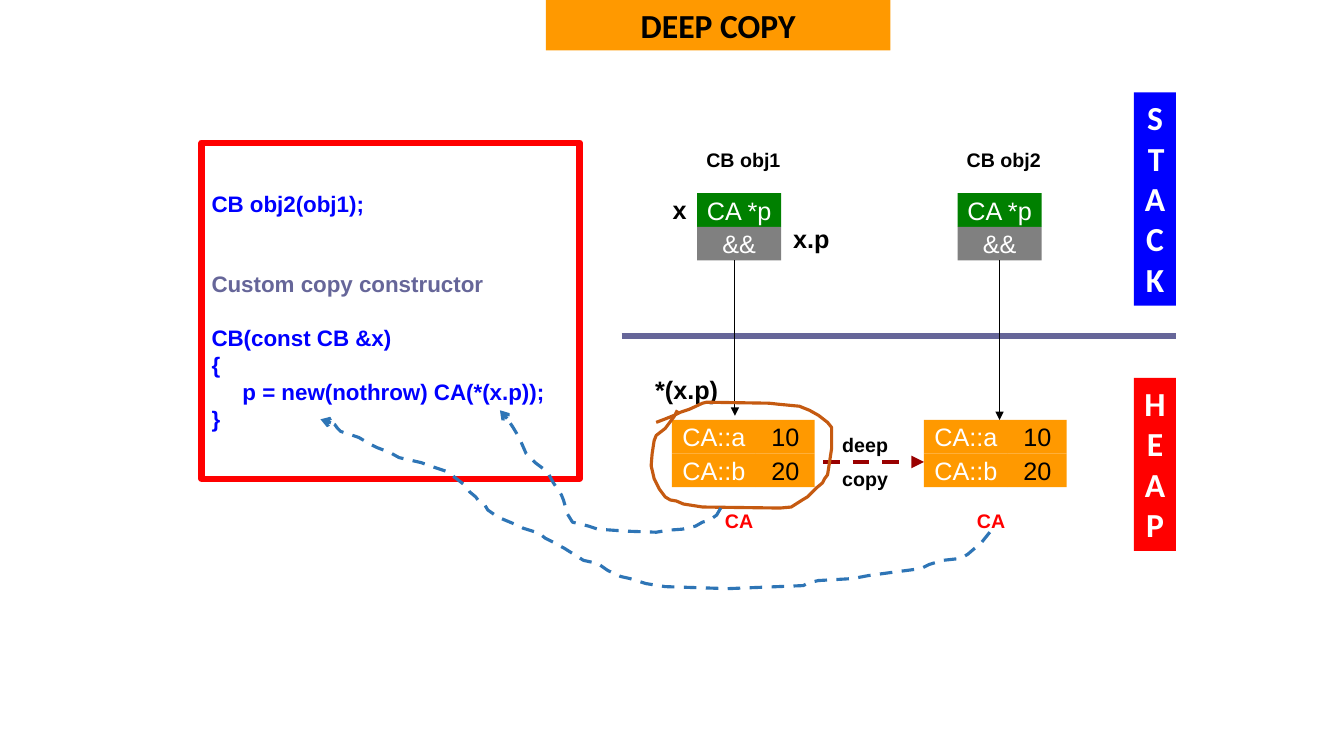
from typing import NamedTuple

from lxml.etree import SubElement
from pptx import Presentation
from pptx.dml.color import RGBColor
from pptx.enum.dml import MSO_LINE_DASH_STYLE as Dash
from pptx.enum.shapes import MSO_CONNECTOR as Conn, MSO_SHAPE as Shp
from pptx.enum.text import MSO_ANCHOR as Anchor, MSO_AUTO_SIZE as Auto, PP_ALIGN as Align
from pptx.oxml.ns import qn
from pptx.util import Cm, Pt

COLORS = {
    "orange": "FF9900", "blue": "0000FF", "red": "FF0000", "slate": "666699",
    "green": "008000", "gray": "808080", "white": "FFFFFF", "black": "000000",
    "maroon": "990000", "rust": "C55A11", "steel": "2E75B6",
}
CELL_H = 4
NAME_W, VALUE_W = 10, 7


class Line(NamedTuple):
    """One paragraph, with its colour and the points of space before it."""
    text: str
    color: str = "black"
    before: float = 0


class Banner(NamedTuple):
    text: str
    box: tuple
    fill: str
    color: str


class Cell(NamedTuple):
    text: str
    box: tuple
    fill: str
    color: str = "white"


class Label(NamedTuple):
    lines: list
    box: tuple
    size: int


class Arrow(NamedTuple):
    start: tuple
    end: tuple
    color: str = "black"
    width: float = 0.75
    head: str = ""
    dashed: bool = False


class Stroke(NamedTuple):
    """Freehand line through points in hundredths of an inch."""
    points: list
    color: str
    head: str = ""
    dashed: bool = False


def grid(n: float) -> int:
    """Length of n grid steps, twelve to the inch."""
    return Cm(n * 2.54 / 12)


def rgb(name: str) -> RGBColor:
    return RGBColor.from_string(COLORS[name])


def write(s, lines: list, *, size: int, font: str = "Arial", bold: bool = True,
          align=Align.CENTER, anchor=Anchor.TOP, wrap: bool = True) -> None:
    tf = s.text_frame
    tf.word_wrap = wrap
    tf.auto_size = Auto.SHAPE_TO_FIT_TEXT if wrap else Auto.NONE
    tf.vertical_anchor = anchor
    for i, line in enumerate(lines):
        p = tf.add_paragraph() if i else tf.paragraphs[0]
        p.alignment = align
        if line.before:
            p.space_before = Pt(line.before)
        r = p.add_run()
        r.text = line.text
        r.font.name, r.font.size, r.font.bold = font, Pt(size), bold
        r.font.color.rgb = rgb(line.color)


def add_rect(sp, box: tuple, fill: str, border: str = ""):
    s = sp.add_shape(Shp.RECTANGLE, *map(grid, box))
    s.shadow.inherit = False
    s.fill.solid()
    s.fill.fore_color.rgb = rgb(fill)
    if border:
        s.line.color.rgb = rgb(border)
        s.line.width = Pt(4.5)
    else:
        s.line.fill.background()
    return s


def style_line(s, color: str, width: float, head: str, dashed: bool) -> None:
    s.line.color.rgb = rgb(color)
    s.line.width = Pt(width)
    if dashed:
        s.line.dash_style = Dash.DASH
    if head:
        SubElement(s.line._get_or_add_ln(), qn("a:tailEnd"), type=head)


def add_arrow(sp, a: Arrow) -> None:
    s = sp.add_connector(Conn.STRAIGHT, *map(grid, a.start + a.end))
    style_line(s, a.color, a.width, a.head, a.dashed)
    SubElement(s._element.spPr, qn("a:effectLst"))


def add_stroke(sp, k: Stroke) -> None:
    builder = sp.build_freeform(*k.points[0], scale=Cm(2.54) / 100)
    builder.add_line_segments(k.points[1:], close=False)
    s = builder.convert_to_shape()
    s.shadow.inherit = False
    s.fill.background()
    style_line(s, k.color, 2.25, k.head, k.dashed)


def pointer_cells(x: float) -> list:
    return [Cell(text, (x, 23 + i * CELL_H, NAME_W, CELL_H), fill)
            for i, (text, fill) in enumerate([("CA *p", "green"), ("&&", "gray")])]


def heap_cells(x: float) -> list:
    cells = []
    for i, (name, value) in enumerate([("CA::a", "10"), ("CA::b", "20")]):
        y = 50 + i * CELL_H
        cells += [Cell(name, (x, y, NAME_W, CELL_H), "orange"),
                  Cell(value, (x + NAME_W, y, VALUE_W, CELL_H), "orange", "black")]
    return cells


BANNERS = [
    Banner("DEEP COPY", (65, 0, 41, 6), "orange", "black"),
    Banner("STACK", (135, 11, 5, 25.4), "blue", "white"),
    Banner("HEAP", (135, 45, 5, 20.6), "red", "white"),
]
CELLS = pointer_cells(83) + pointer_cells(114) + heap_cells(80) + heap_cells(110)
ARROWS = [
    Arrow((74, 40), (140, 40), "slate", 4.5),
    Arrow((87.5, 31), (87.5, 49.5), head="triangle"),
    Arrow((119, 31), (119, 50), head="triangle"),
    Arrow((98, 55), (110, 55), "maroon", 3, "triangle", True),
]
CODE = [
    Line("CB obj2(obj1);", "blue"),
    Line("Custom copy constructor", "slate", 38.4),
    Line("CB(const CB &x)", "blue", 19.2),
    Line("{", "blue"),
    Line("     p = new(nothrow) CA(*(x.p));", "blue"),
    Line("}", "blue"),
]
LABELS = [
    Label([Line("CB obj1")], (82, 17, 13, 4), 14),
    Label([Line("CB obj2")], (113, 17, 13, 4), 14),
    Label([Line("CA", "red")], (83, 60, 10, 4), 14),
    Label([Line("CA", "red")], (113, 60, 10, 4), 14),
    Label([Line("deep"), Line("copy", before=7)], (97, 51, 12, 8.3), 14),
    Label([Line("x")], (78.5, 22.5, 4.8, 4.8), 18),
    Label([Line("x.p")], (93.1, 26, 7, 4.8), 18),
    Label([Line("*(x.p)")], (75, 44, 13.5, 4.8), 18),
]
STROKES = [
    Stroke([(651, 419), (659, 416), (669, 412), (675, 409), (684, 406), (697, 400),
            (701, 399), (763, 400), (772, 401), (793, 403), (803, 407), (812, 412),
            (821, 419), (825, 424), (825, 445), (822, 465), (821, 471), (818, 475),
            (816, 479), (810, 484), (801, 493), (796, 496), (785, 503), (774, 504),
            (697, 503), (678, 500), (671, 497), (665, 496), (660, 493), (654, 485),
            (649, 475), (646, 462), (647, 450), (649, 437), (651, 432), (660, 425),
            (669, 413), (672, 407)], "rust"),
    Stroke([(982, 528), (974, 538), (960, 550), (953, 554), (935, 556), (922, 560),
            (916, 563), (907, 565), (884, 568), (862, 571), (846, 574), (812, 576),
            (803, 578), (797, 581), (722, 584), (660, 582), (641, 579), (625, 574),
            (616, 572), (603, 566), (593, 559), (579, 556), (560, 544), (549, 538),
            (541, 534), (535, 529), (519, 524), (513, 521), (501, 516), (494, 513),
            (484, 506), (481, 501), (475, 497), (472, 493), (466, 488), (462, 482),
            (444, 468), (429, 463), (418, 459), (396, 454), (387, 449), (374, 444),
            (366, 440), (356, 434), (347, 431), (338, 428), (335, 425), (332, 421),
            (325, 418), (318, 416)], "steel", "arrow", True),
    Stroke([(715, 504), (711, 511), (704, 516), (697, 518), (690, 522), (677, 525),
            (663, 526), (651, 528), (622, 527), (593, 525), (584, 522), (568, 518),
            (563, 510), (559, 496), (557, 491), (549, 479), (543, 468), (531, 459),
            (522, 450), (515, 434), (512, 429), (509, 424), (503, 415), (496, 407)],
           "steel", "arrow", True),
]


def main() -> None:
    prs = Presentation()
    prs.slide_width, prs.slide_height = grid(160), grid(90)
    sp = prs.slides.add_slide(prs.slide_layouts[6]).shapes
    for b in BANNERS:
        write(add_rect(sp, b.box, b.fill), [Line(b.text, b.color)], size=24, font="Calibri")
    for c in CELLS:
        write(add_rect(sp, c.box, c.fill), [Line(c.text, c.color)], size=18, bold=False,
              anchor=Anchor.MIDDLE, wrap=False)
    write(add_rect(sp, (24, 17, 45, 40), "white", "red"), CODE, size=16,
          align=Align.LEFT, anchor=Anchor.MIDDLE, wrap=False)
    for a in ARROWS:
        add_arrow(sp, a)
    for t in LABELS:
        write(sp.add_textbox(*map(grid, t.box)), t.lines, size=t.size)
    for k in STROKES:
        add_stroke(sp, k)
    prs.save("out.pptx")


if __name__ == "__main__":
    main()
